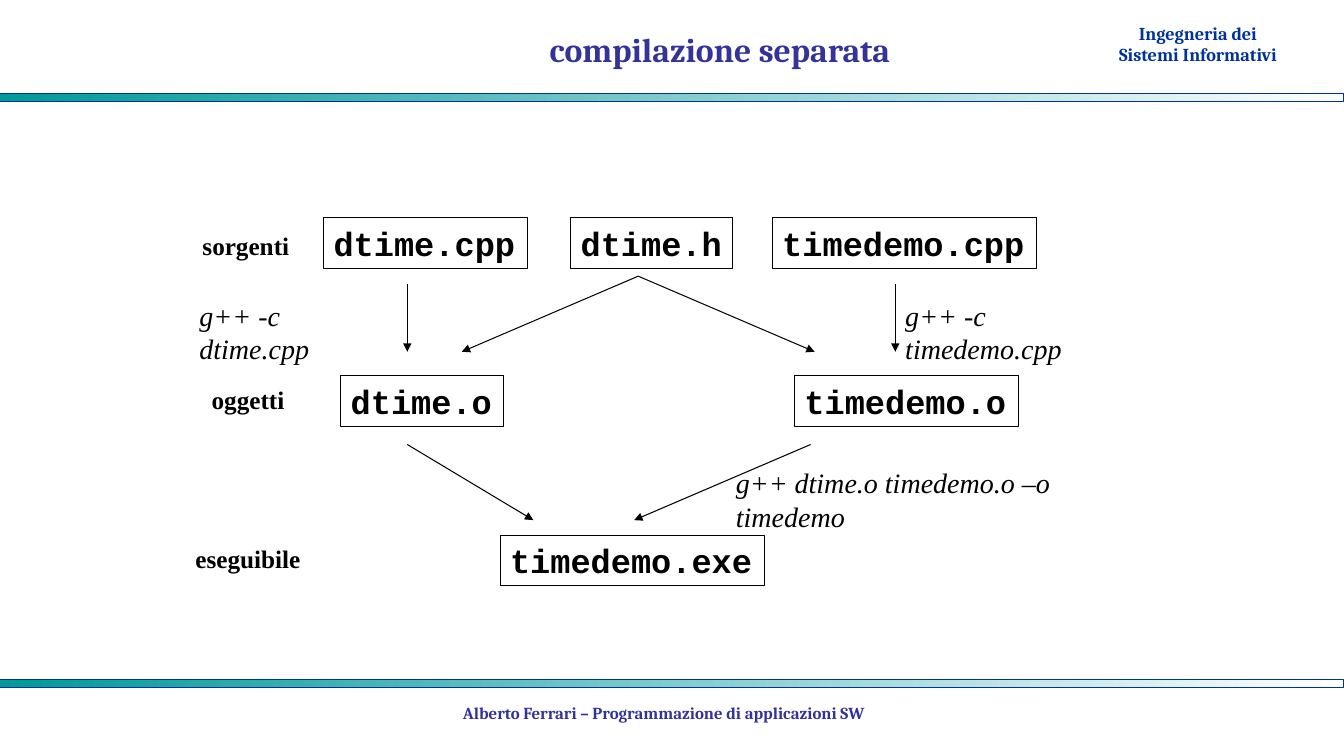
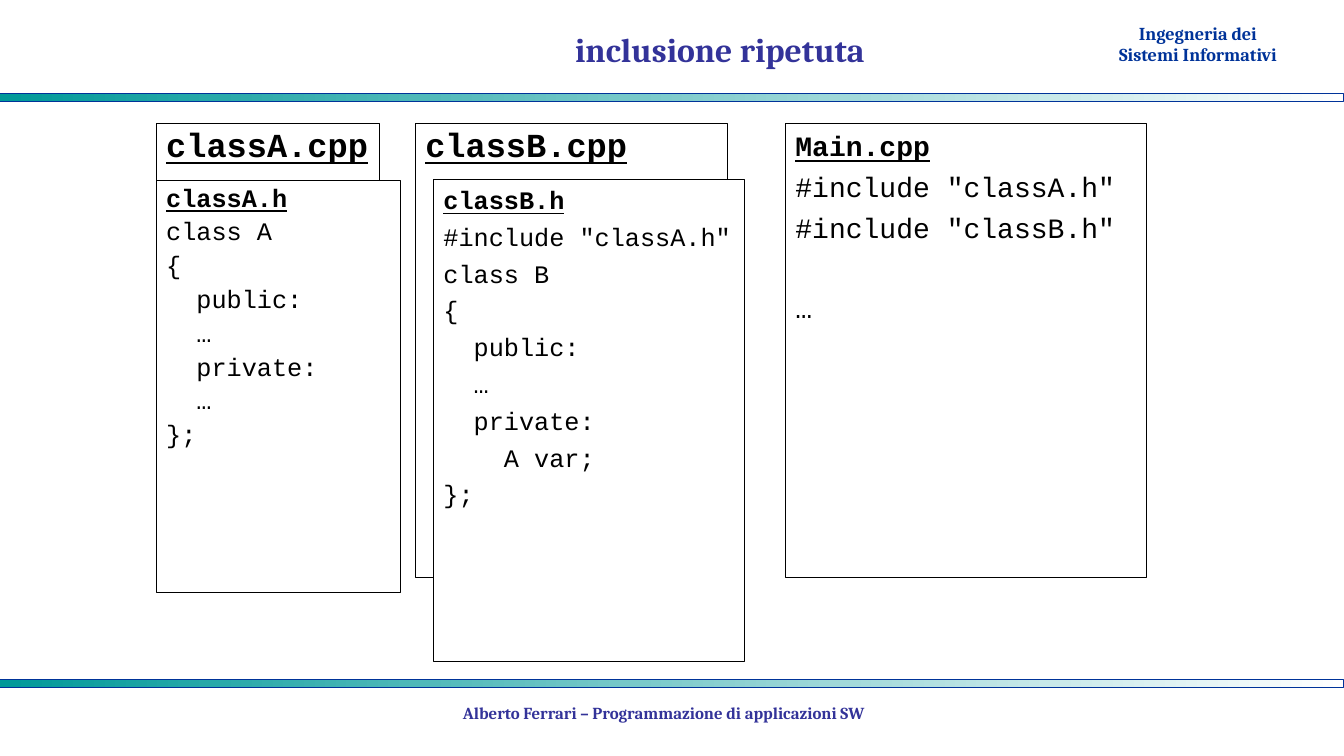
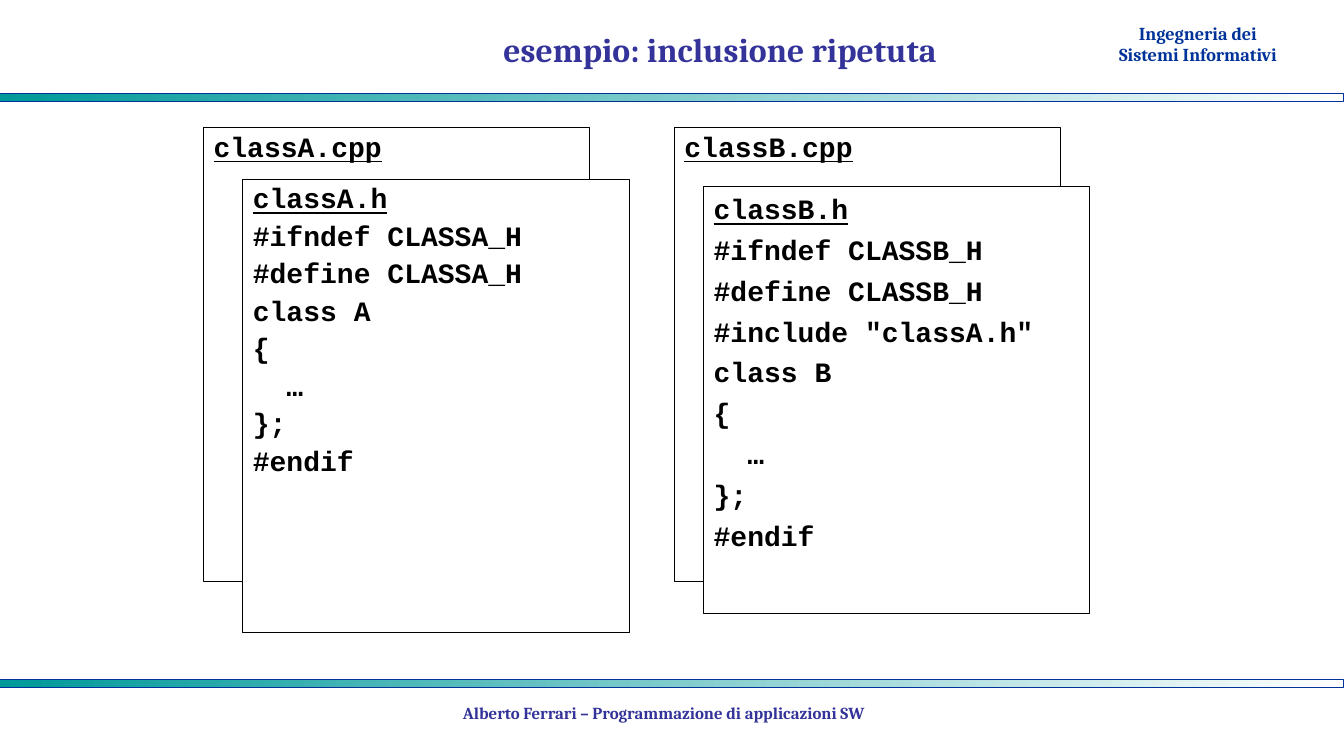
"""Build three slides on separate compilation and repeated inclusion in C++."""
from dataclasses import dataclass

from lxml import etree
from pptx import Presentation
from pptx.dml.color import RGBColor
from pptx.enum import shapes, text
from pptx.oxml import ns
from pptx.util import Inches, Pt


@dataclass(frozen=True)
class Theme:
    ink: RGBColor = RGBColor(0, 0, 0)
    paper: RGBColor = RGBColor(255, 255, 255)
    teal: RGBColor = RGBColor(0x00, 0x99, 0x99)
    blue: RGBColor = RGBColor(0x00, 0x33, 0x99)
    indigo: RGBColor = RGBColor(0x33, 0x33, 0x99)
    heading: str = "Cambria"
    prose: str = "Times New Roman"
    code: str = "Courier New"
    title_size: int = 24
    course_size: int = 13
    footer_size: int = 12
    file_size: int = 24
    command_size: int = 20
    stage_size: int = 18
    outline: float = 0.75
    hanging: float = 0.38
    paragraph_gap: float = 0.26
    blank_line: float = 1.39
    letter_width: float = 0.6


THEME = Theme()


def write(frame, lines, *, font, size, color=THEME.ink, bold=False, italic=False,
          align=text.PP_ALIGN.LEFT, anchor=text.MSO_ANCHOR.TOP, wrap=True,
          listing=False, spacing=None, body_bold=False):
    """Write lines into a frame; a listing has an underlined heading and indented code."""
    frame.word_wrap = wrap
    frame.auto_size = text.MSO_AUTO_SIZE.NONE
    frame.vertical_anchor = anchor
    blanks = 0
    for number, line in enumerate(lines):
        if not line:
            blanks += 1
            continue
        paragraph = frame.paragraphs[0] if number == 0 else frame.add_paragraph()
        paragraph.text = line.lstrip()
        paragraph.alignment = align
        if listing:
            depth = (len(line) - len(line.lstrip())) * THEME.letter_width * size
            properties = paragraph._p.get_or_add_pPr()
            properties.set("marL", str(Inches(THEME.hanging) + Pt(depth)))
            properties.set("indent", str(-Inches(THEME.hanging)))
            paragraph.line_spacing = spacing
            paragraph.space_before = Pt(size * (THEME.paragraph_gap + blanks * THEME.blank_line))
        blanks = 0
        for run in paragraph.runs:
            run.font.name = font
            run.font.size = Pt(size)
            run.font.color.rgb = color
            run.font.bold = body_bold if listing and number else bold
            run.font.italic = italic
            run.font.underline = listing and number == 0


def add_box(slide, left, top, width, height):
    """Add an outlined rectangle without fill."""
    box = slide.shapes.add_shape(shapes.MSO_SHAPE.RECTANGLE, Inches(left), Inches(top),
                                 Inches(width), Inches(height))
    box.shadow.inherit = False
    box.fill.background()
    box.line.color.rgb = THEME.ink
    box.line.width = Pt(THEME.outline)
    return box


deck = Presentation()
deck.slide_width, deck.slide_height = Inches(13.33), Inches(7.5)
layout = deck.slide_layouts[5]
for placeholder in list(layout.placeholders):
    if placeholder.placeholder_format.type != shapes.PP_PLACEHOLDER.TITLE:
        layout.shapes.element.remove(placeholder.element)
layout_title = layout.placeholders[0]
layout_title.left, layout_title.top = Inches(3.73), Inches(0.13)
layout_title.width, layout_title.height = Inches(6.82), Inches(0.71)

titles = ["compilazione separata", "inclusione ripetuta", "esempio: inclusione ripetuta"]
slides = [deck.slides.add_slide(layout) for _ in titles]
compilation, inclusion, guarded = slides

course = compilation.shapes.add_textbox(Inches(10.57), Inches(0.16), Inches(2.62), Inches(0.54))
write(course.text_frame, ["Ingegneria dei", "Sistemi Informativi"], font=THEME.heading,
      size=THEME.course_size, color=THEME.blue, bold=True, align=text.PP_ALIGN.CENTER,
      anchor=text.MSO_ANCHOR.BOTTOM)
layout.shapes.element.append(course.element)
for top in (0.93, 6.74):
    band = add_box(compilation, 0, top, 13.33, 0.08)
    band.line.color.rgb = THEME.blue
    band.fill.gradient()
    band.fill.gradient_angle = 0
    for stop, position, color in zip(band.fill.gradient_stops, (0, 1), (THEME.teal, THEME.paper)):
        stop.position = position
        stop.color.rgb = color
    layout.shapes.element.append(band.element)

for slide, title in zip(slides, titles):
    write(slide.shapes.title.text_frame, [title], font=THEME.heading, size=THEME.title_size,
          color=THEME.indigo, bold=True, align=text.PP_ALIGN.CENTER,
          anchor=text.MSO_ANCHOR.MIDDLE)
    footer = slide.shapes.add_textbox(Inches(2.44), Inches(6.92), Inches(8.29), Inches(0.36))
    write(footer.text_frame, ["Alberto Ferrari – Programmazione di applicazioni SW"],
          font=THEME.heading, size=THEME.footer_size, color=THEME.indigo, bold=True,
          align=text.PP_ALIGN.CENTER)

sources_top, objects_top, program_top = 2.16, 3.73, 5.31
for file_name, left, top, width in [
    ("dtime.cpp", 3.21, sources_top, 2.02),
    ("dtime.h", 5.66, sources_top, 1.61),
    ("timedemo.cpp", 7.66, sources_top, 2.62),
    ("dtime.o", 3.38, objects_top, 1.61),
    ("timedemo.o", 7.88, objects_top, 2.22),
    ("timedemo.exe", 4.96, program_top, 2.62),
]:
    file_box = add_box(compilation, left, top, width, 0.5)
    write(file_box.text_frame, [file_name], font=THEME.code, size=THEME.file_size,
          bold=True, wrap=False)

for stage, left, top, width in [
    ("sorgenti", 1.91, 2.24, 1.06),
    ("oggetti", 2, 3.76, 0.92),
    ("eseguibile", 1.84, 5.34, 1.24),
]:
    label = compilation.shapes.add_textbox(Inches(left), Inches(top), Inches(width), Inches(0.4))
    write(label.text_frame, [stage], font=THEME.prose, size=THEME.stage_size,
          bold=True, wrap=False)

for command, left, top, width in [
    ("g++ -c \vdtime.cpp", 1.88, 2.91, 2.16),
    ("g++ -c \vtimedemo.cpp", 8.88, 2.91, 2.62),
    ("g++ dtime.o timedemo.o –o \vtimedemo", 7.2, 4.57, 4.46),
]:
    label = compilation.shapes.add_textbox(Inches(left), Inches(top), Inches(width), Inches(0.43))
    write(label.text_frame, [command], font=THEME.prose, size=THEME.command_size, italic=True)

for start_x, start_y, end_x, end_y in [
    (4.04, 2.82, 4.04, 3.49),
    (6.33, 2.74, 4.58, 3.49),
    (6.33, 2.74, 8.08, 3.49),
    (8.88, 2.82, 8.88, 3.49),
    (4.04, 4.41, 5.29, 5.16),
    (8.04, 4.41, 6.29, 5.16),
]:
    arrow = compilation.shapes.add_connector(
        shapes.MSO_CONNECTOR.STRAIGHT, Inches(start_x), Inches(start_y),
        Inches(end_x), Inches(end_y))
    arrow.line.color.rgb = THEME.ink
    arrow.line.width = Pt(THEME.outline)
    properties = arrow.element.spPr
    etree.SubElement(properties.find(ns.qn("a:ln")), ns.qn("a:tailEnd"), type="triangle")
    etree.SubElement(properties, ns.qn("a:effectLst"))

for slide, left, top, width, height, size, spacing, body_bold, lines in [
    (inclusion, 1.55, 1.23, 2.21, 4.5, 24, 0.9, False, ["classA.cpp"]),
    (inclusion, 4.12, 1.23, 3.1, 4.5, 24, 0.9, False, ["classB.cpp"]),
    (inclusion, 1.55, 1.79, 2.42, 4.09, 18, 0.9, False,
     ["classA.h", "class A", "{", "  public:", "  …", "  private:", "  …", "};"]),
    (inclusion, 4.3, 1.78, 3.08, 4.78, 18, 1.0, False,
     ["classB.h", '#include "classA.h"', "class B", "{", "  public:", "  …", "  private:",
      "    A var;", "};"]),
    (inclusion, 7.79, 1.23, 3.58, 4.5, 20, 1.0, False,
     ["Main.cpp", '#include "classA.h"', '#include "classB.h"', "", "…"]),
    (guarded, 2.02, 1.27, 3.83, 4.5, 20, 0.9, True, ["classA.cpp"]),
    (guarded, 2.41, 1.78, 3.83, 4.5, 20, 0.9, True,
     ["classA.h", "#ifndef CLASSA_H", "#define CLASSA_H", "class A", "{", "  …", "};", "#endif"]),
    (guarded, 6.69, 1.27, 3.83, 4.5, 20, 0.9, True, ["classB.cpp"]),
    (guarded, 6.98, 1.85, 3.83, 4.24, 20, 1.0, True,
     ["classB.h", "#ifndef CLASSB_H", "#define CLASSB_H", '#include "classA.h"', "class B", "{",
      "  …", "};", "#endif"]),
]:
    page = add_box(slide, left, top, width, height)
    if lines[0].endswith(".h"):
        page.fill.solid()
        page.fill.fore_color.rgb = THEME.paper
    write(page.text_frame, lines, font=THEME.code, size=size, bold=True,
          listing=True, spacing=spacing, body_bold=body_bold)

deck.save("out.pptx")
